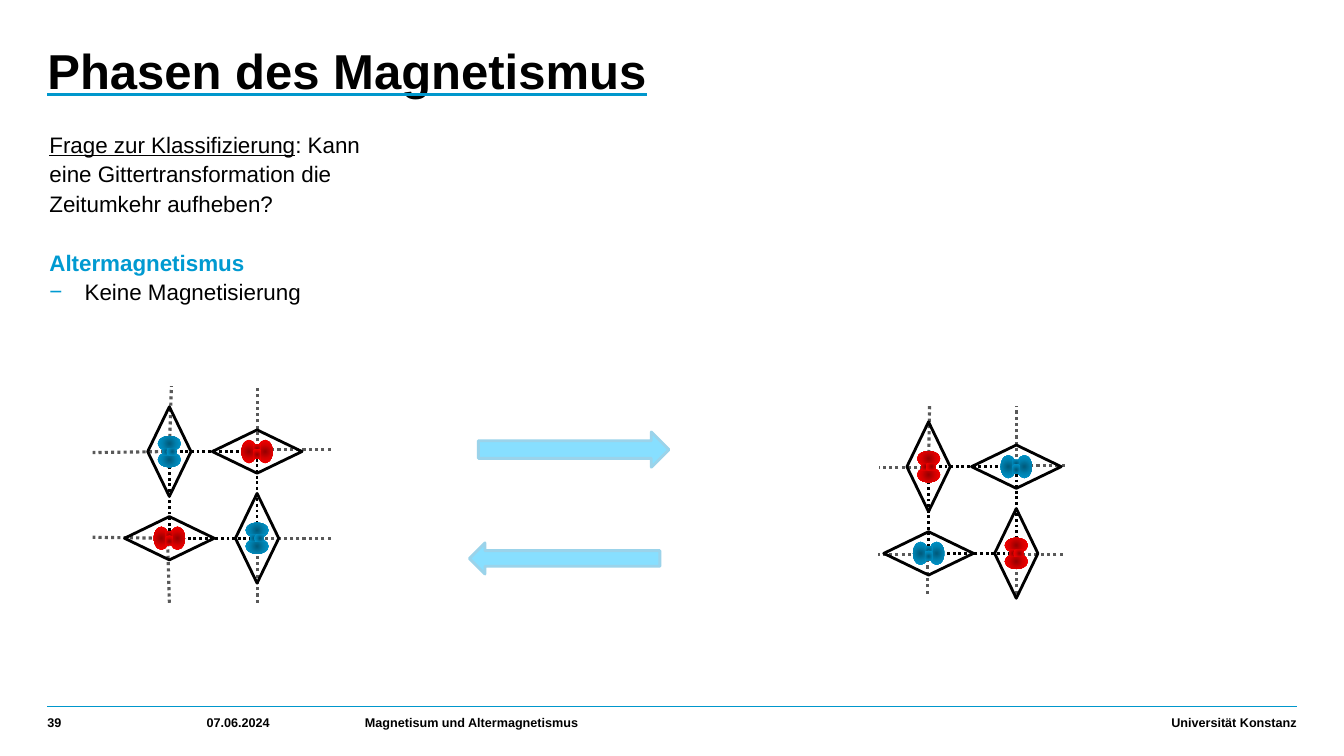
import pptx
import pptx.dml.color
import pptx.enum.dml
import pptx.enum.shapes
import pptx.enum.text
import pptx.oxml
import pptx.oxml.ns
import pptx.util

Inches = pptx.util.Inches
Pt = pptx.util.Pt
RGB = pptx.dml.color.RGBColor.from_string
SHAPE = pptx.enum.shapes.MSO_SHAPE
STRAIGHT = pptx.enum.shapes.MSO_CONNECTOR.STRAIGHT
DOTTED = pptx.enum.dml.MSO_LINE.ROUND_DOT
ANCHOR = pptx.enum.text.MSO_ANCHOR
ALIGN = pptx.enum.text.PP_ALIGN
NS = pptx.oxml.ns.nsdecls("a")

COLORS = {
    "text": "000000",
    "rule": "0097CC",
    "accent": "009AD1",
    "axis": "595959",
    "arrow": "87DFFF",
    "arrow edge": "9BD3EA",
}
SPINS = {
    "blue": ("005B7C", "0082B0", "009AD1"),
    "red": ("970000", "D70000", "FF0000"),
}


def centred_shape(shapes, kind, x, y, width, height, rotation=0):
    """Add a shadowless shape around the point (x, y)."""
    shape = shapes.add_shape(kind, Inches(x - width / 2), Inches(y - height / 2),
                             Inches(width), Inches(height))
    shape.rotation = rotation
    shape.shadow.inherit = False
    return shape


def add_line(shapes, x1, y1, x2, y2, color, width):
    line = shapes.add_connector(STRAIGHT, Inches(x1), Inches(y1), Inches(x2), Inches(y2))
    line.line.color.rgb = RGB(COLORS[color])
    line.line.width = Pt(width)
    line._element.spPr.append(pptx.oxml.parse_xml(f"<a:effectLst {NS}/>"))
    return line


deck = pptx.Presentation()
deck.slide_width, deck.slide_height = Inches(13.33), Inches(7.5)
slide = deck.slides.add_slide(deck.slide_layouts[1])

# Title and question
title, body = slide.shapes.title, slide.placeholders[1]
for holder, (left, top, width, height) in ((title, (0.47, 0.44, 9.24, 0.87)),
                                           (body, (0.49, 1.27, 3.49, 5.04))):
    holder.left, holder.top = Inches(left), Inches(top)
    holder.width, holder.height = Inches(width), Inches(height)
    frame = holder.text_frame
    frame.margin_left = frame.margin_top = frame.margin_right = frame.margin_bottom = 0
    frame.vertical_anchor = ANCHOR.TOP
    frame.word_wrap = True
    frame.auto_size = pptx.enum.text.MSO_AUTO_SIZE.NONE

title.text_frame.text = "Phasen des Magnetismus"
heading = title.text_frame.paragraphs[0]
heading.alignment = ALIGN.LEFT
heading.line_spacing = 0.95
heading_font = heading.runs[0].font
heading_font.name, heading_font.size = "Arial", Pt(35)
heading_font.bold = heading_font.underline = True
heading_font.color.rgb = RGB(COLORS["text"])
heading_font._element.find(pptx.oxml.ns.qn("a:latin")).addprevious(pptx.oxml.parse_xml(
    f'<a:uFill {NS}><a:solidFill><a:srgbClr val="{COLORS["rule"]}"/></a:solidFill></a:uFill>'))

body.text_frame.text = "Frage zur Klassifizierung\nAltermagnetismus\nKeine Magnetisierung"
question, phase, feature = body.text_frame.paragraphs
question.add_run().text = ": Kann eine Gittertransformation die Zeitumkehr aufheben?"
feature.level = 1
for paragraph in (question, phase, feature):
    properties = paragraph._p.get_or_add_pPr()
    indent = Inches(0.35) if paragraph is feature else 0
    properties.set("marL", str(indent))
    properties.set("indent", str(-indent))
    if paragraph is feature:
        bullet = (f'<a:buClr {NS}><a:srgbClr val="{COLORS["accent"]}"/></a:buClr>',
                  f'<a:buFont {NS} typeface="Arial"/>', f'<a:buChar {NS} char="−"/>')
    else:
        bullet = (f"<a:buNone {NS}/>",)
    for element in bullet:
        properties.append(pptx.oxml.parse_xml(element))
    paragraph.alignment = ALIGN.LEFT
    paragraph.line_spacing = 1.1
    paragraph.space_before = Pt(21 if paragraph is phase else 0)
    for run in paragraph.runs:
        run.font.name, run.font.size = "Arial", Pt(16)
        run.font.bold = paragraph is phase
        run.font.color.rgb = RGB(COLORS["accent" if paragraph is phase else "text"])
question.runs[0].font.underline = True

# Footer
add_line(slide.shapes, 0.47, 7.01, 12.86, 7.01, "rule", 1)
for text, left, width, alignment in (
    ("39", 0.47, 1.36, ALIGN.LEFT),
    ("07.06.2024", 2.05, 1.37, ALIGN.LEFT),
    ("Magnetisum und Altermagnetismus", 3.62, 6.3, ALIGN.LEFT),
    ("Universität Konstanz", 8.35, 4.51, ALIGN.RIGHT),
):
    frame = slide.shapes.add_textbox(Inches(left), Inches(7.06),
                                     Inches(width), Inches(0.24)).text_frame
    frame.margin_left = frame.margin_top = frame.margin_right = 0
    frame.margin_bottom = Inches(0.06)
    frame.vertical_anchor = ANCHOR.BOTTOM
    frame.word_wrap = True
    frame.text = text
    frame.paragraphs[0].alignment = alignment
    font = frame.paragraphs[0].runs[0].font
    font.name, font.size, font.bold = "Arial", Pt(9), True
    font.color.rgb = RGB(COLORS["text"])

# Transformations between the two lattices
for x, y, height, rotation in ((5.69, 4.46, 0.35, 0), (5.6, 5.54, 0.31, 180)):
    arrow = centred_shape(slide.shapes, SHAPE.RIGHT_ARROW, x, y, 1.89, height, rotation)
    arrow.fill.solid()
    arrow.fill.fore_color.rgb = RGB(COLORS["arrow"])
    arrow.line.color.rgb = RGB(COLORS["arrow edge"])
    arrow.line.width = Pt(2)

# Lattices: upper left site, spin of upright and of flat sites, dotted axes
PITCH_X, PITCH_Y = 0.87, 0.86
LATTICES = (
    (1.68, 4.48, "blue", "red", (
        (1.63, 4.48, 0.92, 4.49), (1.63, 5.34, 0.92, 5.33),
        (3.28, 4.46, 2.58, 4.46), (3.28, 5.34, 2.56, 5.34),
        (1.68, 4.46, 1.7, 3.83), (2.55, 5.98, 2.55, 5.29),
        (1.68, 5.98, 1.66, 5.29), (2.55, 4.44, 2.55, 3.83))),
    (9.21, 4.63, "red", "blue", (
        (9.16, 4.64, 8.72, 4.64), (9.16, 5.5, 8.71, 5.5),
        (10.56, 4.62, 10.11, 4.62), (10.54, 5.5, 10.09, 5.5),
        (9.21, 4.62, 9.22, 4.01), (10.08, 5.89, 10.08, 5.45),
        (9.2, 5.89, 9.2, 5.44), (10.08, 4.6, 10.08, 4.03))),
)
for origin_x, origin_y, upright_spin, flat_spin, axes in LATTICES:
    lattice = slide.shapes.add_group_shape().shapes
    for axis in axes:
        add_line(lattice, *axis, "axis", 2.25).line.dash_style = DOTTED
    cell = centred_shape(lattice, SHAPE.RECTANGLE, origin_x + PITCH_X / 2,
                         origin_y + PITCH_Y / 2, PITCH_X, PITCH_Y)
    cell.line.dash_style = DOTTED
    outlines = [cell]
    sites = [(origin_x + column * PITCH_X, origin_y + row * PITCH_Y, row == column)
             for row in range(2) for column in range(2)]
    for x, y, upright in sites:
        outlines.append(centred_shape(lattice, SHAPE.DIAMOND, x, y, 0.89, 0.43,
                                      270 if upright else 0))
    for outline in outlines:
        outline.fill.background()
        outline.line.color.rgb = RGB(COLORS["text"])
        outline.line.width = Pt(2)

    for x, y, upright in sites:
        orbital = slide.shapes.add_group_shape().shapes
        turn = 90 if upright else 0
        parts = []
        for side in (-1, 1):
            lobe, neck = side * 0.08, side * 0.03
            lobe_x, lobe_y = (x, y + lobe) if upright else (x + lobe, y)
            parts.append(centred_shape(orbital, SHAPE.OVAL, lobe_x, lobe_y, 0.15, 0.23, turn))
        for side in (-1, 1):
            neck = side * 0.03
            neck_x, neck_y = (x + neck, y) if upright else (x, y + neck)
            neck_turn = (90 - 90 * side) if upright else (180 - 90 * side)
            parts.append(centred_shape(orbital, SHAPE.FLOWCHART_STORED_DATA,
                                       neck_x, neck_y, 0.11, 0.07, neck_turn))
        shades = SPINS[upright_spin if upright else flat_spin]
        stops = "".join(f'<a:gs pos="{position}"><a:srgbClr val="{shade}"/></a:gs>'
                        for position, shade in zip((0, 50000, 100000), shades))
        for part in parts:
            part.line.fill.background()
            part._element.spPr.insert(2, pptx.oxml.parse_xml(
                f'<a:gradFill {NS} rotWithShape="1"><a:gsLst>{stops}</a:gsLst>'
                '<a:path path="circle"><a:fillToRect l="50000" t="50000" r="50000" b="50000"/>'
                "</a:path></a:gradFill>"))

deck.save("out.pptx")
